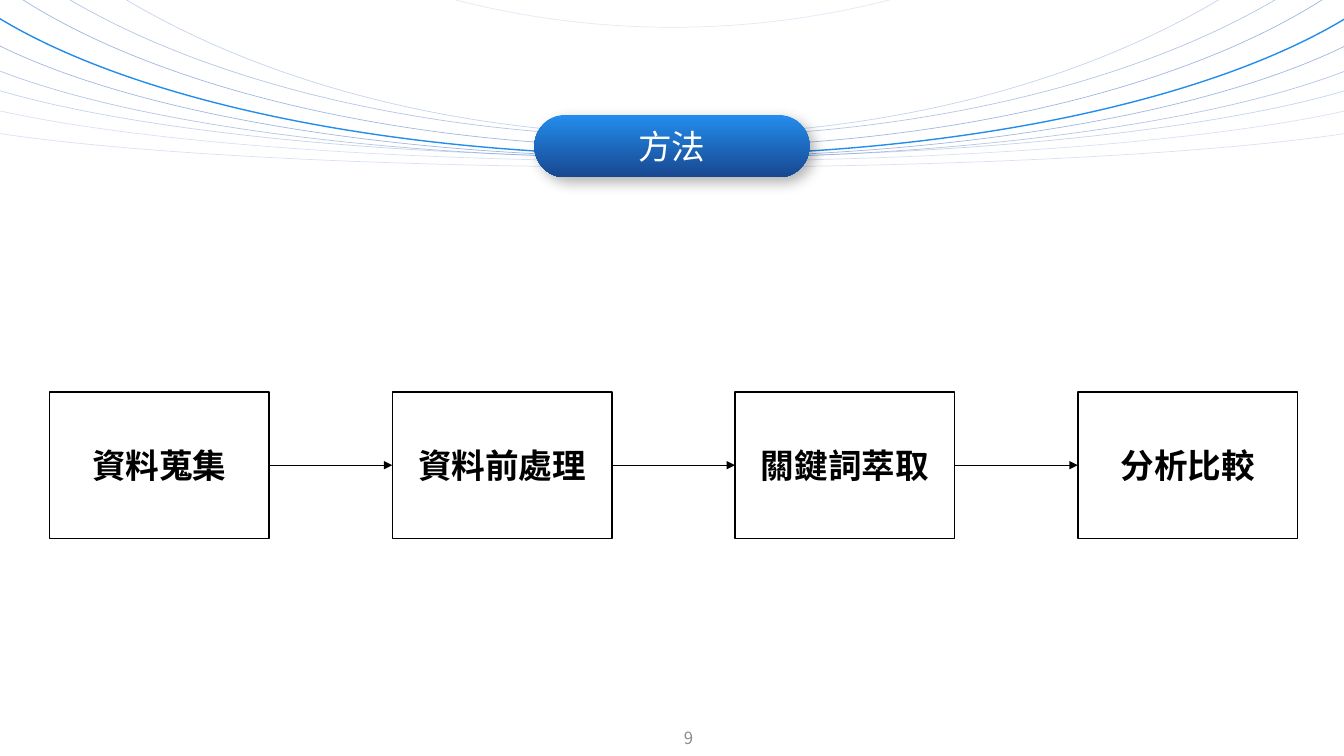
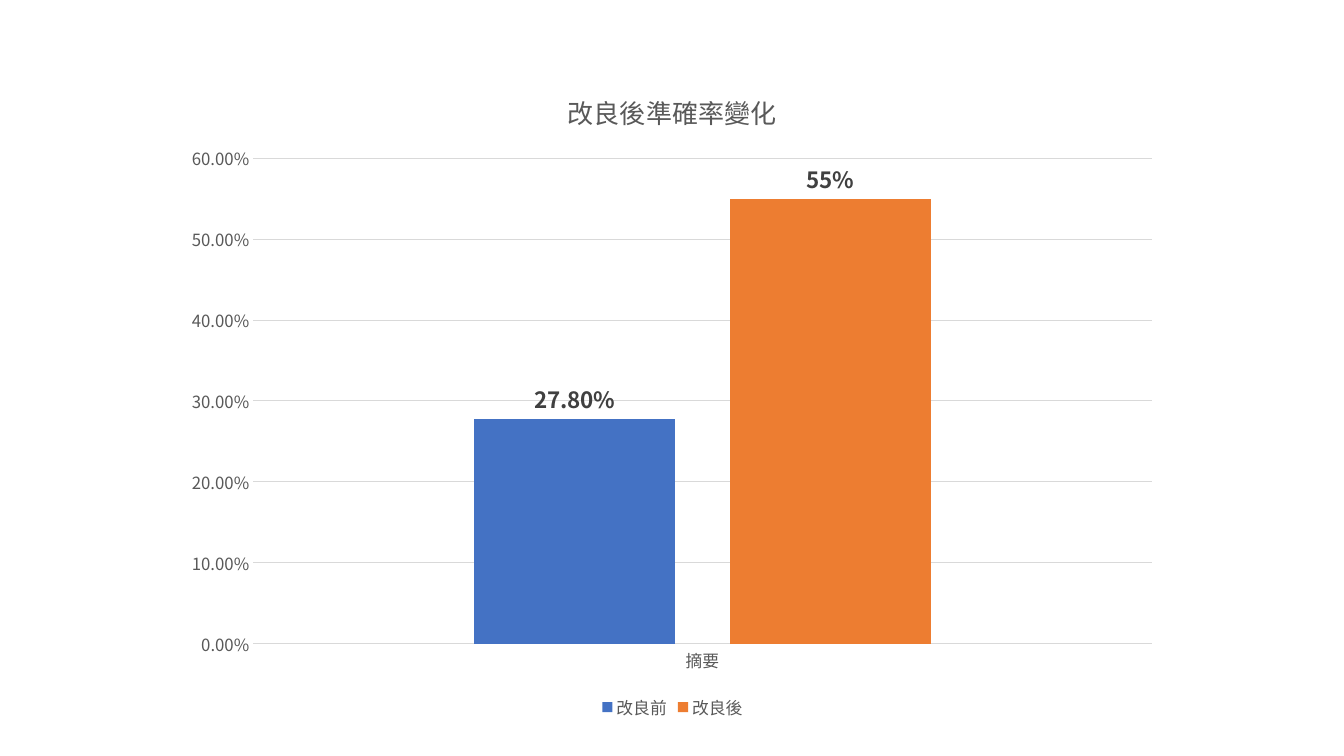
from lxml import etree
from pptx import Presentation
from pptx.chart.data import CategoryChartData
from pptx.dml.color import RGBColor
from pptx.enum.chart import XL_CHART_TYPE, XL_LABEL_POSITION, XL_LEGEND_POSITION, XL_TICK_MARK
from pptx.enum.shapes import MSO_CONNECTOR, MSO_SHAPE
from pptx.enum.text import MSO_ANCHOR, PP_ALIGN
from pptx.oxml import parse_xml
from pptx.oxml.ns import nsdecls, qn
from pptx.util import Inches, Pt

FONT = "Noto Sans CJK SC"
WHITE = RGBColor(0xFF, 0xFF, 0xFF)
BLACK = RGBColor(0, 0, 0)
BLUE = RGBColor(0x44, 0x72, 0xC4)
ORANGE = RGBColor(0xED, 0x7D, 0x31)
BRIGHT_BLUE = RGBColor(0x23, 0x8D, 0xED)
DARK_BLUE = RGBColor(0x18, 0x47, 0x8F)
PAGE_GREY = RGBColor(0x8C, 0x8C, 0x8C)
TEXT_GREY = RGBColor(0x59, 0x59, 0x59)
LABEL_GREY = RGBColor(0x40, 0x40, 0x40)
GRID_GREY = RGBColor(0xD9, 0xD9, 0xD9)

# Arcs: top, height, half of the sweep, opacity in percent
ARC_MIDDLE = 162
ARCS = [
    (-13.5, 13.77, 37.32, 15), (-8.06, 9.4, 42.14, 30),
    (-6.11, 7.47, 44.53, 40), (-5.1, 6.56, 45.64, 50),
    (-3.96, 5.5, 46.99, 100), (-2.92, 4.48, 48.21, 50),
    (-1.94, 3.51, 49.43, 40), (-1.12, 2.68, 50.53, 30),
    (-0.43, 2.03, 51.41, 20), (0.3, 1.36, 52.51, 20),
]


class Deck:
    def __init__(self):
        self.presentation = Presentation()
        self.presentation.slide_width = Inches(13.33)
        self.presentation.slide_height = Inches(7.5)
        self.slide = None

    def new_slide(self):
        self.slide = self.presentation.slides.add_slide(self.presentation.slide_layouts[6])

    def style_font(self, font, size, color, bold=False):
        for name, value in {"name": FONT, "size": Pt(size), "bold": bold}.items():
            setattr(font, name, value)
        font.color.rgb = color
        etree.SubElement(font._rPr, qn("a:ea"), typeface=FONT)

    def style_line(self, line, color, width):
        line.color.rgb = color
        line.width = Pt(width)

    def center_text(self, shape, text, size, color, bold=False):
        frame = shape.text_frame
        frame.word_wrap = True
        frame.vertical_anchor = MSO_ANCHOR.MIDDLE
        paragraph = frame.paragraphs[0]
        paragraph.alignment = PP_ALIGN.CENTER
        run = paragraph.add_run()
        run.text = text
        self.style_font(run.font, size, color, bold)

    def shape(self, kind, left, top, width, height):
        shape = self.slide.shapes.add_shape(
            kind, Inches(left), Inches(top), Inches(width), Inches(height))
        shape.shadow.inherit = False
        return shape

    def arc(self, top, height, half_sweep, opacity):
        arc = self.shape(MSO_SHAPE.ARC, -1.07, top, 15.48, height)
        arc.rotation = 180
        arc.adjustments[0] = ARC_MIDDLE - half_sweep
        arc.adjustments[1] = ARC_MIDDLE + half_sweep
        arc.fill.background()
        if opacity == 100:
            self.style_line(arc.line, BRIGHT_BLUE, 1)
        else:
            self.style_line(arc.line, BLUE, 0.5)
            color = arc.line._ln.find(".//" + qn("a:srgbClr"))
            etree.SubElement(color, qn("a:alpha"), val=str(opacity * 1000))

    def title(self, text):
        pill = self.shape(MSO_SHAPE.ROUNDED_RECTANGLE, 5.3, 1.14, 2.73, 0.62)
        pill.adjustments[0] = 0.5
        pill.line.fill.background()
        pill.fill.gradient()
        pill.fill.gradient_angle = 270
        for stop, color in zip(pill.fill.gradient_stops, (BRIGHT_BLUE, DARK_BLUE)):
            stop.color.rgb = color
        pill._element.spPr.find(qn("a:effectLst")).append(parse_xml(
            f'<a:outerShdw {nsdecls("a")} blurRad="{Pt(10)}" dist="{Pt(5)}" dir="2700000" '
            'algn="tl" rotWithShape="0"><a:srgbClr val="000000"><a:alpha val="30000"/>'
            '</a:srgbClr></a:outerShdw>'))
        self.center_text(pill, text, 24, WHITE)

    def box(self, text, left, top, width, height):
        box = self.shape(MSO_SHAPE.RECTANGLE, left, top, width, height)
        box.fill.solid()
        box.fill.fore_color.rgb = WHITE
        self.style_line(box.line, BLACK, 1)
        self.center_text(box, text, 24, BLACK, bold=True)

    def arrow(self, start, end, y):
        arrow = self.slide.shapes.add_connector(
            MSO_CONNECTOR.STRAIGHT, Inches(start), Inches(y), Inches(end), Inches(y))
        self.style_line(arrow.line, BLACK, 0.5)
        etree.SubElement(arrow.line._ln, qn("a:tailEnd"), type="triangle")
        etree.SubElement(arrow._element.spPr, qn("a:effectLst"))

    def page_number(self, number):
        box = self.slide.shapes.add_textbox(
            Inches(4.58), Inches(7.12), Inches(4.5), Inches(0.4))
        self.center_text(box, str(number), 12, PAGE_GREY)

    def place(self, parent, position, **layout):
        """Give a chart part a fixed place, in fractions of the chart."""
        old = parent.find(qn("c:layout"))
        if old is not None:
            parent.remove(old)
        element = parse_xml(f'<c:layout {nsdecls("c")}><c:manualLayout/></c:layout>')
        for name, value in layout.items():
            etree.SubElement(element[0], qn("c:" + name), val=str(value))
        parent.insert(position, element)

    def column_chart(self, title, category, series_styles):
        data = CategoryChartData(number_format="0.00%")
        data.categories = [category]
        for name, value, _, _ in series_styles:
            data.add_series(name, [value])
        chart = self.slide.shapes.add_chart(
            XL_CHART_TYPE.COLUMN_CLUSTERED, Inches(1.72), Inches(0.58),
            Inches(9.9), Inches(6.6), data).chart
        self.style_font(chart.font, 10, BLACK)

        # Title and legend
        chart.has_title = True
        run = chart.chart_title.text_frame.paragraphs[0].add_run()
        run.text = title
        self.style_font(run.font, 18.6, TEXT_GREY)
        self.place(chart.chart_title._element, 1,
                   xMode="edge", yMode="edge", x=0.39, y=0.04)
        chart.has_legend = True
        chart.legend.position = XL_LEGEND_POSITION.BOTTOM
        chart.legend.include_in_layout = False
        self.style_font(chart.legend.font, 12, TEXT_GREY)

        # Axes
        for axis in (chart.category_axis, chart.value_axis):
            axis.major_tick_mark = axis.minor_tick_mark = XL_TICK_MARK.NONE
            self.style_font(axis.tick_labels.font, 12, TEXT_GREY)
        self.style_line(chart.category_axis.format.line, GRID_GREY, 0.75)
        value_axis = chart.value_axis
        value_axis.format.line.fill.background()
        self.style_line(value_axis.major_gridlines.format.line, GRID_GREY, 0.75)
        scale = {"minimum_scale": 0, "maximum_scale": 0.6, "major_unit": 0.1}
        for name, value in scale.items():
            setattr(value_axis, name, value)
        value_axis.tick_labels.number_format = "0.00%"
        value_axis.tick_labels.number_format_is_linked = False

        # Columns
        plot = chart.plots[0]
        plot.gap_width = 219
        plot.overlap = -27
        plot.vary_by_categories = False
        for series, (_, _, color, number_format) in zip(plot.series, series_styles):
            series.format.fill.solid()
            series.format.fill.fore_color.rgb = color
            labels = series.data_labels
            label_format = {
                "show_value": True, "position": XL_LABEL_POSITION.OUTSIDE_END,
                "number_format": number_format, "number_format_is_linked": False}
            for name, value in label_format.items():
                setattr(labels, name, value)
            self.style_font(labels.font, 16, LABEL_GREY, bold=True)
        self.place(chart._chartSpace.chart.plotArea, 0, layoutTarget="inner",
                   xMode="edge", yMode="edge", x=0.08, y=0.15, w=0.9, h=0.73)


def main():
    deck = Deck()

    # Method flow
    deck.new_slide()
    for arc in ARCS:
        deck.arc(*arc)
    deck.title("方法")
    left, top, width, height, pitch = 0.49, 3.89, 2.18, 1.45, 3.4
    steps = ["資料蒐集", "資料前處理", "關鍵詞萃取", "分析比較"]
    for index, step in enumerate(steps):
        box_left = left + index * pitch
        deck.box(step, box_left, top, width, height)
        if index:
            deck.arrow(box_left - pitch + width, box_left, top + height / 2)
    deck.page_number(9)

    # Accuracy chart
    deck.new_slide()
    deck.column_chart("改良後準確率變化", "摘要", [
        ("改良前", 0.278, BLUE, "0.00%"),
        ("改良後", 0.55, ORANGE, "0%"),
    ])

    deck.presentation.save("out.pptx")


if __name__ == "__main__":
    main()
